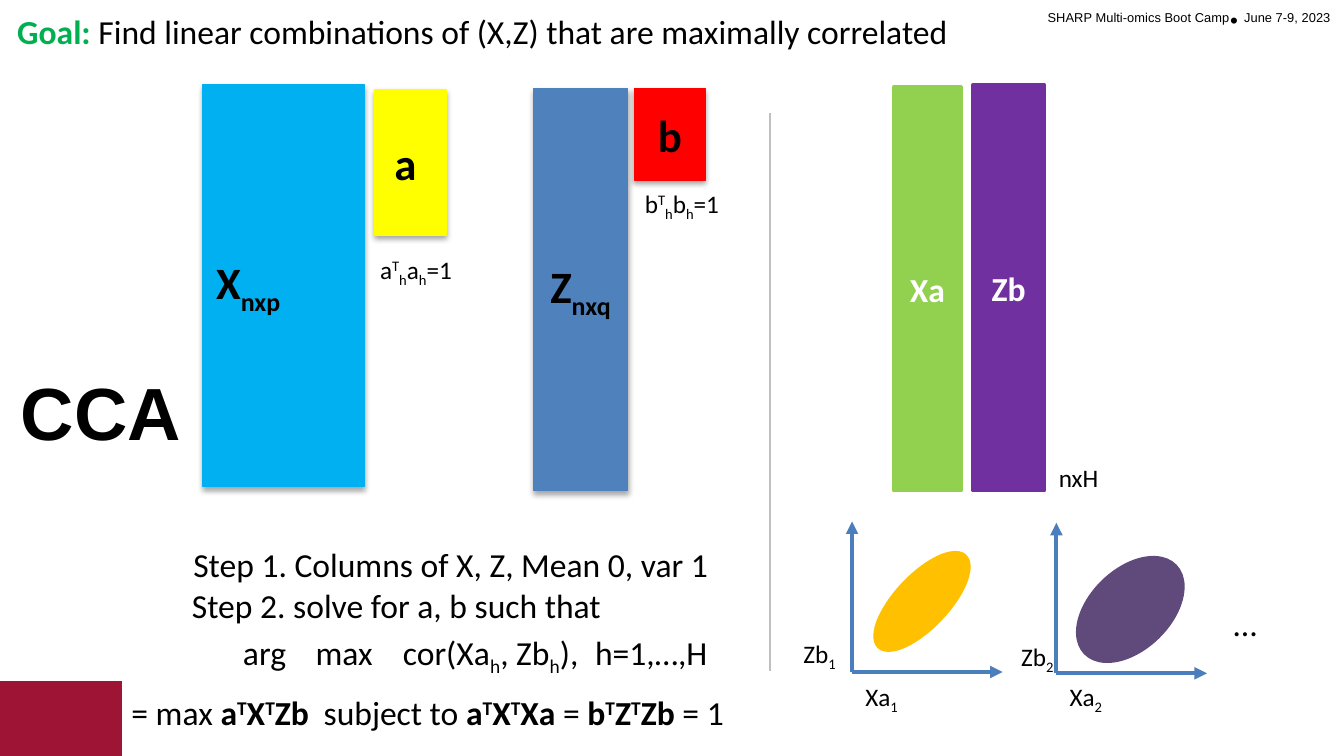
from typing import NamedTuple

from lxml.etree import SubElement as Sub
from pptx import Presentation
from pptx.dml.color import RGBColor
from pptx.enum.shapes import MSO_CONNECTOR as Conn, MSO_SHAPE as Kind
from pptx.enum.text import MSO_ANCHOR as Anchor, MSO_AUTO_SIZE as Fit, PP_ALIGN as Align
from pptx.oxml.ns import qn
from pptx.util import Inches, Pt

CELL = 0.1  # the slide is a grid of 100 columns of square cells
COLS, ROWS = 100, 56.25
BLACK, WHITE, AXIS = "000000", "FFFFFF", "4B7EBC"


class Area(NamedTuple):
    x: float
    y: float
    w: float
    h: float


class Run(NamedTuple):
    text: str
    base: int = 0
    bold: bool = False
    color: str = BLACK


class Block(NamedTuple):
    area: Area
    fill: str
    runs: list[Run]
    size: float = 24
    edge: float = 0.75
    shade: bool = True
    align: Align = Align.CENTER


class Note(NamedTuple):
    area: Area
    runs: list[Run]
    size: float = 18
    wrap: bool = False
    font: str = "Calibri"
    align: Align = Align.LEFT
    tabs: tuple[float, ...] = ()


class Plot(NamedTuple):
    num: str
    x: float
    y: float
    side: Area
    oval: Area
    turn: float
    fill: str


def grid(n: float) -> int:
    return Inches(n * CELL)


def place(area: Area) -> list[int]:
    return [grid(n) for n in area]


def rgb(code: str) -> RGBColor:
    return RGBColor.from_string(code)


def sup(text: str, bold: bool = False) -> Run:
    return Run(text, 30, bold)


def sub(text: str, bold: bool = False) -> Run:
    return Run(text, -25, bold)


def product(*names: str) -> list[Run]:
    """Bold matrix product with every factor but the last transposed."""
    runs = [r for n in names[:-1] for r in (Run(n, bold=True), sup("T", True))]
    return runs + [Run(names[-1], bold=True)]


def unit(name: str) -> list[Run]:
    return [Run(name), sup("T"), sub("h"), Run(name), sub("h"), Run("=1")]


def write(para, runs: list[Run], size: float, font: str = "Calibri") -> None:
    for item in runs:
        run = para.add_run()
        run.text = item.text
        face = run.font
        face.name, face.size, face.bold = font, Pt(size), item.bold
        face.color.rgb = rgb(item.color)
        if item.base:
            run._r.get_or_add_rPr().set("baseline", str(item.base * 1000))


def shape(shapes, kind: Kind, area: Area, fill: str, edge: float = 0.75):
    form = shapes.add_shape(kind, *place(area))
    form.shadow.inherit = False
    form.fill.solid()
    form.fill.fore_color.rgb = rgb(fill)
    form.line.color.rgb = rgb(fill)
    form.line.width = Pt(edge)
    return form


def shade(form) -> None:
    glow = Sub(form._element.spPr.find(qn("a:effectLst")), qn("a:outerShdw"),
               blurRad=str(Pt(3.1)), dist=str(Pt(1.8)), dir="5400000", rotWithShape="0")
    tint = Sub(glow, qn("a:srgbClr"), val=BLACK)
    Sub(tint, qn("a:alpha"), val="35000")


def block(shapes, item: Block) -> None:
    form = shape(shapes, Kind.RECTANGLE, item.area, item.fill, item.edge)
    if item.shade:
        shade(form)
    frame = form.text_frame
    frame.word_wrap, frame.vertical_anchor = True, Anchor.MIDDLE
    para = frame.paragraphs[0]
    para.alignment = item.align
    write(para, item.runs, item.size)


def note(shapes, item: Note) -> None:
    frame = shapes.add_textbox(*place(item.area)).text_frame
    frame.word_wrap, frame.auto_size = item.wrap, Fit.SHAPE_TO_FIT_TEXT
    para = frame.paragraphs[0]
    para.alignment = item.align
    if item.tabs:
        stops = Sub(para._p.get_or_add_pPr(), qn("a:tabLst"))
        for stop in item.tabs:
            Sub(stops, qn("a:tab"), pos=str(grid(stop)), algn="l")
    write(para, item.runs, item.size, item.font)


def line(shapes, x: float, y: float, x2: float, y2: float,
         color: str, width: float, arrow: bool = False) -> None:
    rule = shapes.add_connector(Conn.STRAIGHT, *place(Area(x, y, x2, y2)))
    rule.line.color.rgb = rgb(color)
    rule.line.width = Pt(width)
    if arrow:
        Sub(rule.line._get_or_add_ln(), qn("a:tailEnd"), type="triangle")
    Sub(rule._element.spPr, qn("a:effectLst"))


def plot(shapes, item: Plot) -> None:
    group = shapes.add_group_shape().shapes
    for dx, dy in ((0, -11.2), (11.2, 0)):
        line(group, item.x, item.y, item.x + dx, item.y + dy, AXIS, 2.25, True)
    below = Area(item.x, 50.2, 4.5, 3.3)
    for name, area in (("Xa", below), ("Zb", item.side)):
        note(group, Note(area, [Run(name), sub(item.num)], 13.5))
    shape(group, Kind.OVAL, item.oval, item.fill, 2).rotation = item.turn


def head(title) -> None:
    title.left, title.top, title.width, title.height = place(Area(0.3, 20, 15.6, 16.2))
    frame = title.text_frame
    frame.auto_size, frame.vertical_anchor = Fit.NONE, Anchor.BOTTOM
    frame.margin_left, frame.margin_right, frame.margin_bottom = map(grid, (0.5, 1.7, 2.3))
    para = frame.paragraphs[0]
    para.alignment = Align.CENTER
    write(para, [Run("CCA", bold=True)], 39.6, "Arial")


BLOCKS = [
    Block(Area(27.9, 6.7, 5.3, 10.8), "FFFF00", [Run("a ", bold=True)]),
    Block(Area(47.2, 6.6, 5.3, 6.8), "FF0000", [Run("b", bold=True)]),
    Block(Area(66.5, 6.5, 5, 30), "92D050", [Run("Xa", 0, True, WHITE)], 18, 2, False),
    Block(Area(72.4, 6.3, 5.3, 30.2), "7030A0", [Run("Zb", 0, True, WHITE)], 18, 2, False),
    Block(Area(15.1, 6.3, 12, 29.9), "00B0F0",
          [Run("X", bold=True), sub("nxp", True)], align=Align.LEFT),
    Block(Area(39.7, 6.6, 7, 29.9), "4F81BD", [Run("Z", bold=True), sub("nxq", True)]),
]
NOTES = [
    Note(Area(60.4, 0, 39.6, 3),
         [sup("SHARP Multi-omics Boot Camp"), Run("• "), sup("June 7-9, 2023")],
         12, True, "Arial", Align.RIGHT),
    Note(Area(0.3, 0.3, 74.9, 4),
         [Run("Goal:", 0, True, "00B050"),
          Run(" Find linear combinations of (X,Z) that are maximally correlated")], wrap=True),
    Note(Area(27.3, 18.4, 7.7, 3.3), unit("a"), 13.5),
    Note(Area(47, 13.5, 7.9, 3.3), unit("b"), 13.5),
    Note(Area(77.8, 33.9, 5, 3.3), [Run("nxH")], 13.5),
    Note(Area(13.4, 40, 40.9, 4), [Run("Step 1. Columns of X, Z, Mean 0, var 1")], wrap=True),
    Note(Area(13.3, 43, 32.8, 4), [Run("Step 2. solve for a, b such that")]),
    Note(Area(17.1, 46.5, 37.3, 4),
         [Run("arg\tmax\tcor(Xa"), sub("h"), Run(", Zb"), sub("h"), Run("),\th=1,…,H")],
         tabs=(5.4, 11.9, 26.2)),
    Note(Area(8.8, 51, 47.7, 4),
         [Run("= max "), *product("a", "X", "Zb"), Run("\tsubject to "),
          *product("a", "X", "Xa"), Run(" = "), *product("b", "Z", "Zb"), Run(" = 1")],
         tabs=(14.3,)),
    Note(Area(90.8, 44.4, 3.8, 4), [Run("…")]),
]
PLOTS = [
    Plot("1", 63.4, 50, Area(58.8, 47, 4.6, 3.3), Area(66.7, 40.1, 3.8, 9.3), 43.5, "FFC000"),
    Plot("2", 78.6, 50.1, Area(75, 47.2, 4.6, 3.3), Area(81.2, 40.7, 5.8, 9.3), 46, "604A7B"),
]


def main() -> None:
    deck = Presentation()
    deck.slide_width, deck.slide_height = grid(COLS), grid(ROWS)
    slide = deck.slides.add_slide(deck.slide_layouts[5])
    shapes = slide.shapes
    head(shapes.title)
    shape(shapes, Kind.RECTANGLE, Area(0, 50.7, COLS, 5.55), "9E1435")
    shape(shapes, Kind.RECTANGLE, Area(9.1, 50.3, 90.9, 5.95), WHITE)
    for item in BLOCKS:
        block(shapes, item)
    for item in NOTES:
        note(shapes, item)
    line(shapes, 57.3, 8.4, 57.3, 49.9, "BFBFBF", 0.75)
    for item in PLOTS:
        plot(shapes, item)
    deck.save("out.pptx")


if __name__ == "__main__":
    main()
